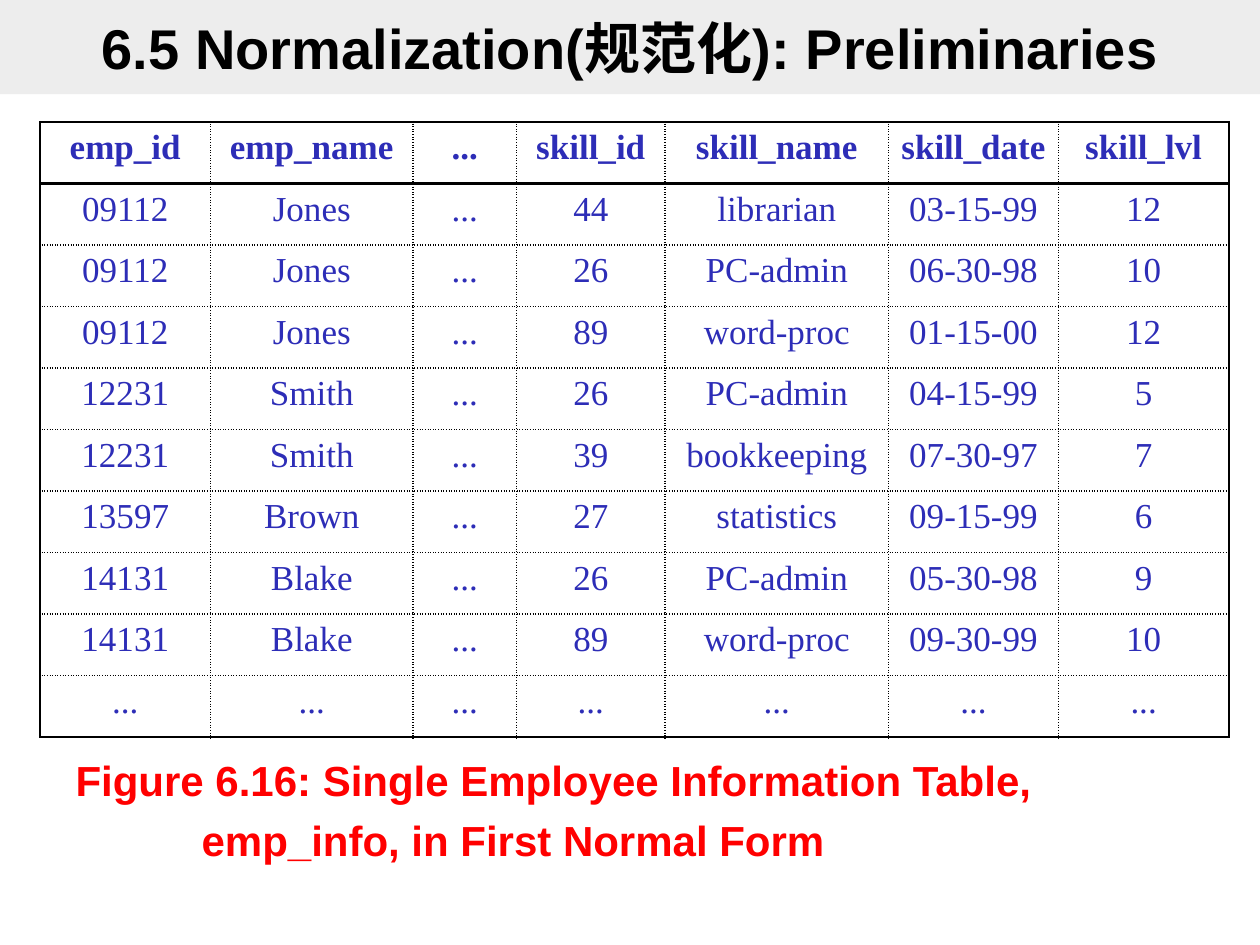
from lxml import etree
from pptx import Presentation
from pptx import oxml
from pptx import util as u
from pptx.dml.color import RGBColor
from pptx.enum import text
from pptx.oxml.ns import qn

BLACK = RGBColor(0x00, 0x00, 0x00)
BAND = RGBColor(0xDD, 0xDD, 0xDD)
BLUE = RGBColor(0x2D, 0x2D, 0xB7)
RED = RGBColor(0xFF, 0x00, 0x00)

COLUMN_WIDTHS = [3.43, 4.09, 2.08, 3.0, 4.5, 3.43, 3.43]
ROW_HEIGHT = 1.24
ROWS = [
    ["emp_id", "emp_name", "...", "skill_id", "skill_name", "skill_date", "skill_lvl"],
    ["09112", "Jones", "...", "44", "librarian", "03-15-99", "12"],
    ["09112", "Jones", "...", "26", "PC-admin", "06-30-98", "10"],
    ["09112", "Jones", "...", "89", "word-proc", "01-15-00", "12"],
    ["12231", "Smith", "...", "26", "PC-admin", "04-15-99", "5"],
    ["12231", "Smith", "...", "39", "bookkeeping", "07-30-97", "7"],
    ["13597", "Brown", "...", "27", "statistics", "09-15-99", "6"],
    ["14131", "Blake", "...", "26", "PC-admin", "05-30-98", "9"],
    ["14131", "Blake", "...", "89", "word-proc", "09-30-99", "10"],
    ["..."] * 7,
]
CAPTION = ["Figure 6.16: Single Employee Information Table,",
           "emp_info, in First Normal Form"]


class SlideBuilder:
    heading_font = "Arial"
    table_font = "Times New Roman"

    def __init__(self, deck):
        self.slide = deck.slides.add_slide(deck.slide_layouts[1])

    def place(self, box, left, top, width, height):
        box.left, box.top = u.Cm(left), u.Cm(top)
        box.width, box.height = u.Cm(width), u.Cm(height)

    def format_runs(self, para, name, size, color, bold=True):
        for span in para.runs:
            span.font.name = name
            span.font.size = u.Pt(size)
            span.font.bold = bold
            span.font.color.rgb = color

    def title(self, words):
        box = self.slide.shapes.title
        self.place(box, 0, 0, 25.4, 1.9)
        box.fill.solid()
        box.fill.fore_color.rgb = BAND
        color = box.fill._xPr.find(qn("a:solidFill"))[0]
        etree.SubElement(color, qn("a:alpha"), val="50000")
        frame = box.text_frame
        frame.text = words
        frame.auto_size = text.MSO_AUTO_SIZE.NONE
        frame.vertical_anchor = text.MSO_ANCHOR.MIDDLE
        para = frame.paragraphs[0]
        para.alignment = text.PP_ALIGN.CENTER
        self.format_runs(para, self.heading_font, 32, BLACK)

    def border(self, cell, side, solid):
        width, dash = (u.Pt(1.5), "solid") if solid else (u.Pt(1), "dot")
        cell._tc.get_or_add_tcPr().append(oxml.parse_xml(
            f'<a:ln{side} xmlns:a="http://schemas.openxmlformats.org/drawingml/2006/main"'
            f' w="{width}"><a:solidFill><a:srgbClr val="{BLACK}"/></a:solidFill>'
            f'<a:prstDash val="{dash}"/></a:ln{side}>'))

    def table(self, left, top, widths, row_height, rows):
        last_row, last_column = len(rows) - 1, len(widths) - 1
        table = self.slide.shapes.add_table(
            len(rows), len(widths), u.Cm(left), u.Cm(top),
            u.Cm(sum(widths)), u.Cm(row_height * len(rows))).table
        table.first_row = table.horz_banding = False
        for column, width in zip(table.columns, widths):
            column.width = u.Cm(width)
        for r, values in enumerate(rows):
            table.rows[r].height = u.Cm(row_height)
            for c, value in enumerate(values):
                cell = table.cell(r, c)
                # Solid outer frame and header rule, dotted inner grid
                self.border(cell, "L", c == 0)
                self.border(cell, "R", c == last_column)
                self.border(cell, "T", r in (0, 1))
                self.border(cell, "B", r in (0, last_row))
                cell.fill.background()
                cell.margin_left = cell.margin_right = 0
                cell.text = value
                para = cell.text_frame.paragraphs[0]
                para.alignment = text.PP_ALIGN.CENTER
                self.format_runs(para, self.table_font, 20, BLUE, bold=r == 0)

    def caption(self, lines):
        box = self.slide.placeholders[1]
        self.place(box, 1.27, 15.09, 22.86, 2.51)
        frame = box.text_frame
        frame.text = "\n".join(lines)
        frame.auto_size = text.MSO_AUTO_SIZE.SHAPE_TO_FIT_TEXT
        for level, para in enumerate(frame.paragraphs):
            para.level = level
            para.alignment = text.PP_ALIGN.LEFT
            para.space_before = u.Pt(5)
            # Hanging indent without a bullet
            properties = para._p.get_or_add_pPr()
            properties.set("marL", str(u.Cm(5.03 + 2.54 * level)))
            properties.set("indent", str(u.Cm(-5.03)))
            etree.SubElement(properties, qn("a:buNone"))
            self.format_runs(para, self.heading_font, 24, RED)


def main():
    deck = Presentation()
    deck.slide_width, deck.slide_height = u.Cm(25.4), u.Cm(19.05)
    page = SlideBuilder(deck)

    # Heading band
    page.title("6.5 Normalization(规范化): Preliminaries")

    # Employee table and its caption
    page.table(0.81, 2.46, COLUMN_WIDTHS, ROW_HEIGHT, ROWS)
    page.caption(CAPTION)

    deck.save("out.pptx")


if __name__ == "__main__":
    main()
